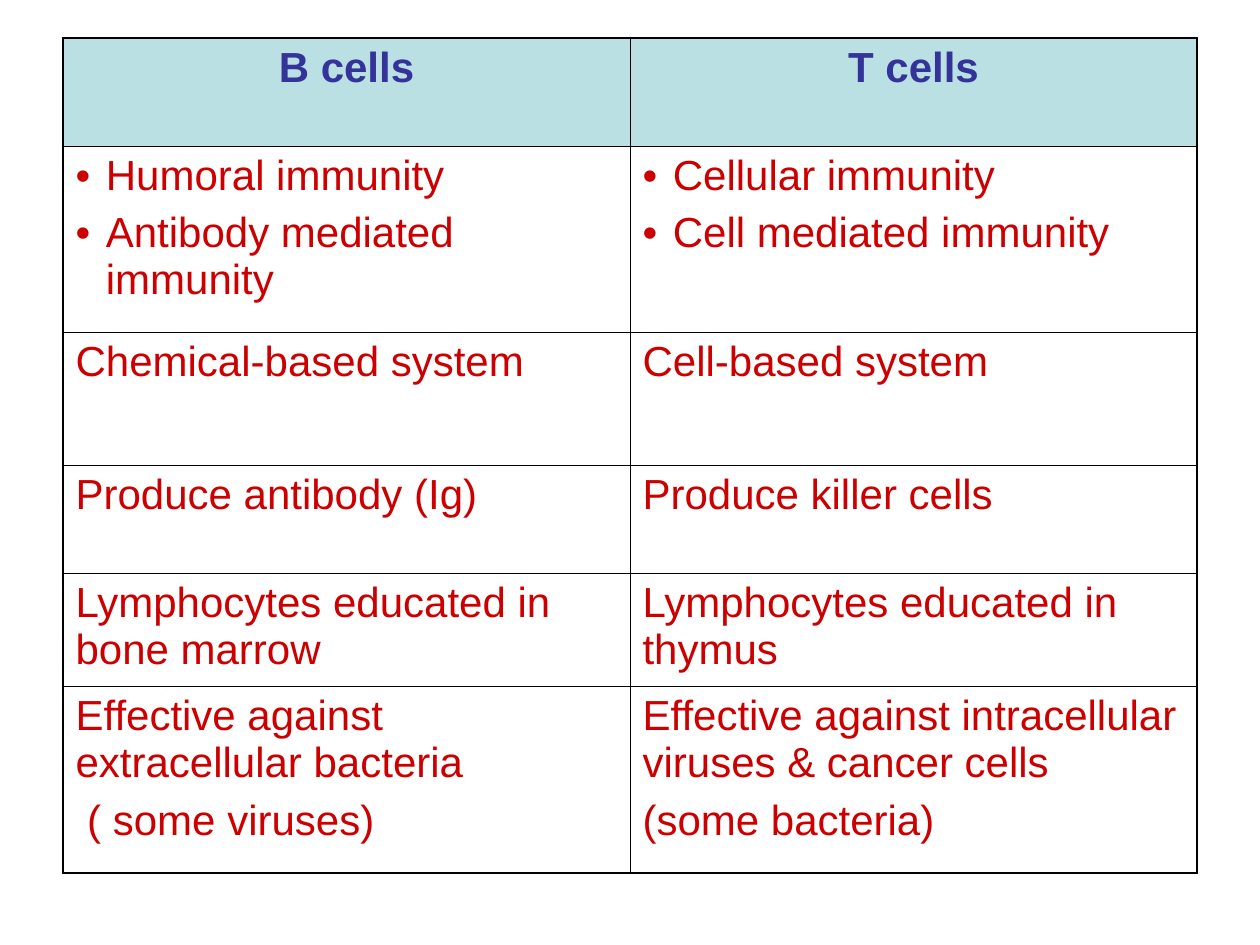
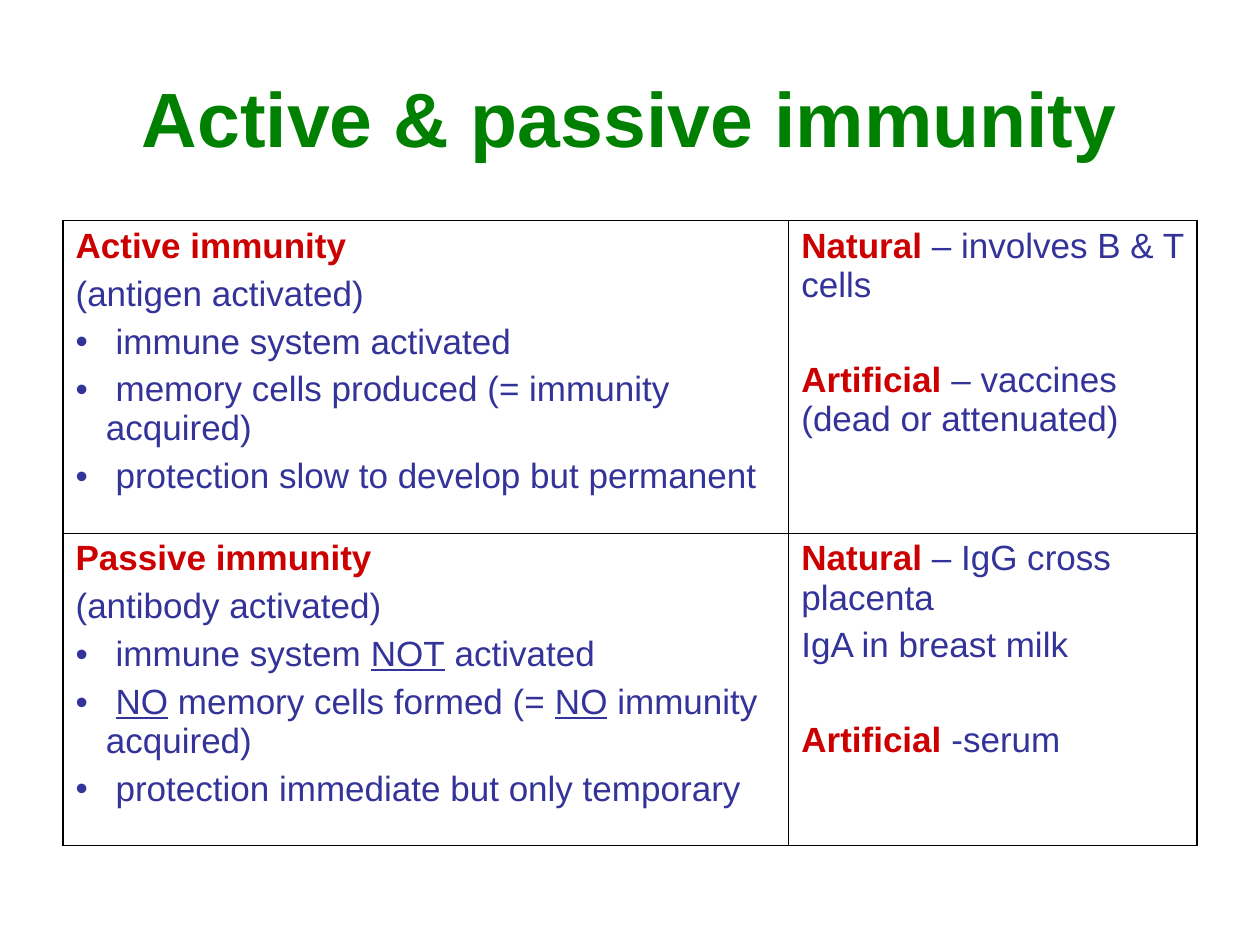
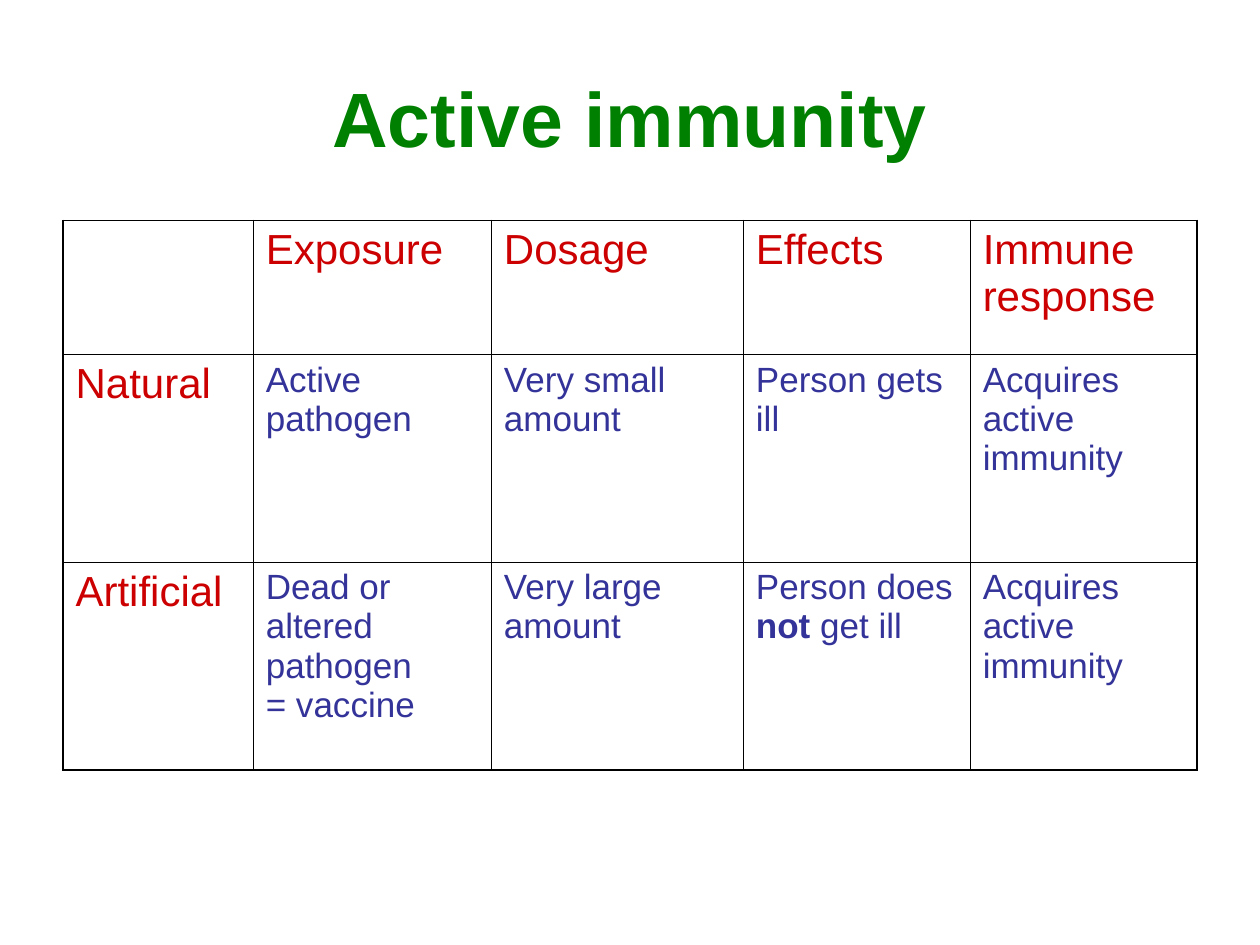
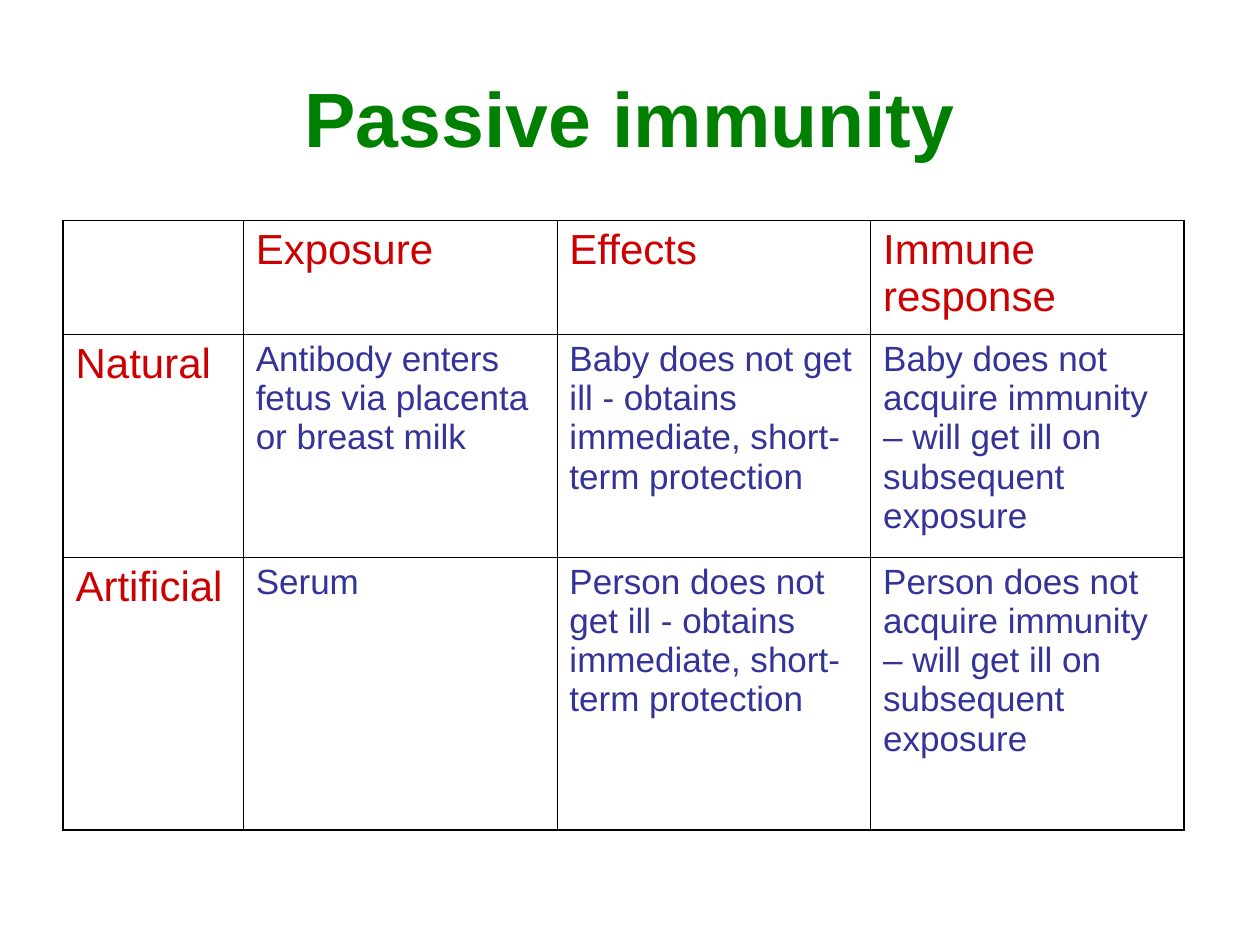
from dataclasses import dataclass

from lxml import etree
from pptx import Presentation
from pptx.dml.color import RGBColor
from pptx.enum.text import MSO_ANCHOR, PP_ALIGN
from pptx.oxml.ns import qn
from pptx.util import Inches, Pt

CENTER = PP_ALIGN.CENTER
MIDDLE = MSO_ANCHOR.MIDDLE
TITLE_ONLY, BLANK = 5, 6


@dataclass(frozen=True)
class Theme:
    font: str = "Arial"
    green: str = "008000"
    red: str = "CC0000"
    blue: str = "333399"
    header_fill: str = "BBE0E3"
    rule: str = "000000"
    title_size: int = 44
    heading_size: int = 24
    body_size: int = 20
    outer_rule: float = 1.08
    inner_rule: float = 0.45
    bullet_indent: float = 0.24
    slide_width: float = 10
    slide_height: float = 7.5
    margin: float = 0.5
    top: float = 0.3
    title_height: float = 1.25
    table_top: float = 1.75


THEME = Theme()


@dataclass(frozen=True)
class Style:
    size: int
    color: str
    bold: bool = False
    centered: bool = False

    @property
    def spacing(self):
        return self.size / 4


TITLE = Style(THEME.title_size, THEME.green, bold=True, centered=True)
COLUMN_HEAD = Style(THEME.heading_size, THEME.blue, bold=True, centered=True)
HEADING = Style(THEME.heading_size, THEME.red)
BODY = Style(THEME.body_size, THEME.blue)
TOPIC = Style(THEME.body_size, THEME.red, bold=True)
SECTION_GAP = 32


@dataclass(frozen=True)
class Para:
    """Phrases in one style; a phrase may be a Topic, Strong or Underlined."""
    phrases: tuple
    style: Style = BODY
    bullet: bool = False
    before: float = None


class Topic(str):
    pass


class Strong(str):
    pass


class Underlined(str):
    pass


def body(*phrases, before=None):
    return Para(phrases, before=before)


def bullet(*phrases, style=BODY):
    return Para(phrases, style, bullet=True)


def heading(text):
    return Para((text,), HEADING)


def topic(text):
    return Para((text,), TOPIC)


def set_font(font, style):
    font.name = THEME.font
    font.size = Pt(style.size)
    font.bold = style.bold
    font.color.rgb = RGBColor.from_string(style.color)


def add_color(parent, color):
    etree.SubElement(parent, qn("a:srgbClr"), val=color)


def add_bullet(paragraph, color):
    indent = Inches(THEME.bullet_indent)
    properties = paragraph._p.get_or_add_pPr()
    properties.set("marL", str(indent))
    properties.set("indent", str(-indent))
    add_color(etree.SubElement(properties, qn("a:buClr")), color)
    etree.SubElement(properties, qn("a:buFont"), typeface=THEME.font)
    etree.SubElement(properties, qn("a:buChar"), char="•")


def add_phrase(paragraph, phrase):
    for index, line in enumerate(phrase.split("\n")):
        if index:
            paragraph.add_line_break()
        run = paragraph.add_run()
        run.text = line
        if isinstance(phrase, Topic):
            set_font(run.font, TOPIC)
        elif isinstance(phrase, Strong):
            run.font.bold = True
        elif isinstance(phrase, Underlined):
            run.font.underline = True


def write(text_frame, paras):
    for index, para in enumerate(paras):
        style = para.style
        paragraph = text_frame.add_paragraph() if index else text_frame.paragraphs[0]
        if para.bullet:
            add_bullet(paragraph, style.color)
        if style.centered:
            paragraph.alignment = CENTER
        if index:
            paragraph.space_before = Pt(para.before or style.spacing)
        set_font(paragraph.font, style)
        for phrase in para.phrases:
            add_phrase(paragraph, phrase)


def add_border(cell, side, width):
    line = etree.SubElement(cell._tc.get_or_add_tcPr(), qn(f"a:ln{side}"),
                            w=str(Pt(width)))
    add_color(etree.SubElement(line, qn("a:solidFill")), THEME.rule)


def add_grid(slide, top, columns, row_heights, rows, header_fill=None):
    """Ruled table, heavier round the outside; each cell is a Para or a list."""
    last_row, last_column = len(row_heights) - 1, len(columns) - 1
    table = slide.shapes.add_table(
        len(row_heights), len(columns), Inches(THEME.margin), Inches(top),
        Inches(sum(columns)), Inches(sum(row_heights))).table
    table.first_row = table.horz_banding = False
    for column, width in zip(table.columns, columns):
        column.width = Inches(width)
    for r, (row, height, contents) in enumerate(zip(table.rows, row_heights, rows)):
        row.height = Inches(height)
        for c, (cell, content) in enumerate(zip(row.cells, contents)):
            outside = {"L": c == 0, "R": c == last_column,
                       "T": r == 0, "B": r == last_row}
            for side, is_outer in outside.items():
                add_border(cell, side,
                           THEME.outer_rule if is_outer else THEME.inner_rule)
            if header_fill and r == 0:
                cell.fill.solid()
                cell.fill.fore_color.rgb = RGBColor.from_string(header_fill)
            else:
                cell.fill.background()
            write(cell.text_frame, [content] if isinstance(content, Para) else content)


def add_titled_slide(deck, text):
    slide = deck.slides.add_slide(deck.slide_layouts[TITLE_ONLY])
    title = slide.shapes.title
    title.left, title.top = Inches(THEME.margin), Inches(THEME.top)
    title.width = Inches(THEME.slide_width - 2 * THEME.margin)
    title.height = Inches(THEME.title_height)
    title.text_frame.vertical_anchor = MIDDLE
    title.text_frame.word_wrap = True
    write(title.text_frame, [Para((text,), TITLE)])
    return slide


def comparison_rows(headings, natural, artificial):
    """Heading row with an empty corner, then one row per way of immunity."""
    return [[[], *map(heading, headings)],
            [heading("Natural"), *natural],
            [heading("Artificial"), *artificial]]


def add_cell_types(deck):
    slide = deck.slides.add_slide(deck.slide_layouts[BLANK])
    rows = [
        [Para((name,), COLUMN_HEAD) for name in ("B cells", "T cells")],
        [[bullet("Humoral immunity", style=HEADING),
          bullet("Antibody mediated immunity", style=HEADING)],
         [bullet("Cellular immunity", style=HEADING),
          bullet("Cell mediated immunity", style=HEADING)]],
        [heading("Chemical-based system"), heading("Cell-based system")],
        [heading("Produce antibody (Ig)"), heading("Produce killer cells")],
        [heading("Lymphocytes educated in bone marrow"),
         heading("Lymphocytes educated in thymus")],
        [[heading("Effective against extracellular bacteria"),
          heading(" ( some viruses)")],
         [heading("Effective against intracellular viruses & cancer cells"),
          heading("(some bacteria)")]],
    ]
    add_grid(slide, THEME.top, [4.5, 4.5], [0.86, 1.48, 1.05, 0.86, 0.9, 1.48],
             rows, THEME.header_fill)


def add_overview(deck):
    slide = add_titled_slide(deck, "Active & passive immunity")
    active = [
        topic("Active immunity"),
        body("(antigen activated)"),
        bullet(" immune system activated"),
        bullet(" memory cells produced (= immunity acquired)"),
        bullet(" protection slow to develop but permanent"),
    ]
    active_sources = [
        body(Topic("Natural"), " – involves B & T cells"),
        body(Topic("Artificial"), " – vaccines (dead or attenuated)",
             before=SECTION_GAP),
    ]
    passive = [
        topic("Passive immunity"),
        body("(antibody activated)"),
        bullet(" immune system ", Underlined("NOT"), " activated"),
        bullet(" ", Underlined("NO"), " memory cells formed (= ",
               Underlined("NO"), " immunity acquired)"),
        bullet(" protection immediate but only temporary"),
    ]
    passive_sources = [
        body(Topic("Natural"), " – IgG cross placenta"),
        body("IgA in breast milk"),
        body(Topic("Artificial"), " -serum", before=SECTION_GAP),
    ]
    add_grid(slide, THEME.table_top, [5.76, 3.24], [2.48] * 2,
             [[active, active_sources], [passive, passive_sources]])


def add_active(deck):
    slide = add_titled_slide(deck, "Active immunity")
    response = body("Acquires active immunity")
    rows = comparison_rows(
        ["Exposure", "Dosage", "Effects", "Immune response"],
        [body("Active pathogen"), body("Very small amount"),
         body("Person gets ill"), response],
        [body("Dead or altered pathogen\n= vaccine"), body("Very large amount"),
         body("Person does ", Strong("not"), " get ill"), response])
    add_grid(slide, THEME.table_top, [1.51, 1.89, 2, 1.8, 1.8],
             [1.06, 1.65, 1.65], rows)


def add_passive(deck):
    slide = add_titled_slide(deck, "Passive immunity")

    def outcomes(who):
        return [
            body(f"{who} does not get ill - obtains immediate, "
                 "short-term protection"),
            body(f"{who} does not acquire immunity – will get ill "
                 "on subsequent exposure"),
        ]

    rows = comparison_rows(
        ["Exposure", "Effects", "Immune response"],
        [body("Antibody enters fetus via placenta or breast milk"),
         *outcomes("Baby")],
        [body("Serum"), *outcomes("Person")])
    add_grid(slide, THEME.table_top, [1.43] + [2.49] * 3, [0.9, 1.77, 2.17], rows)


def main():
    deck = Presentation()
    deck.slide_width = Inches(THEME.slide_width)
    deck.slide_height = Inches(THEME.slide_height)
    add_cell_types(deck)
    add_overview(deck)
    add_active(deck)
    add_passive(deck)
    deck.save("out.pptx")


if __name__ == "__main__":
    main()
